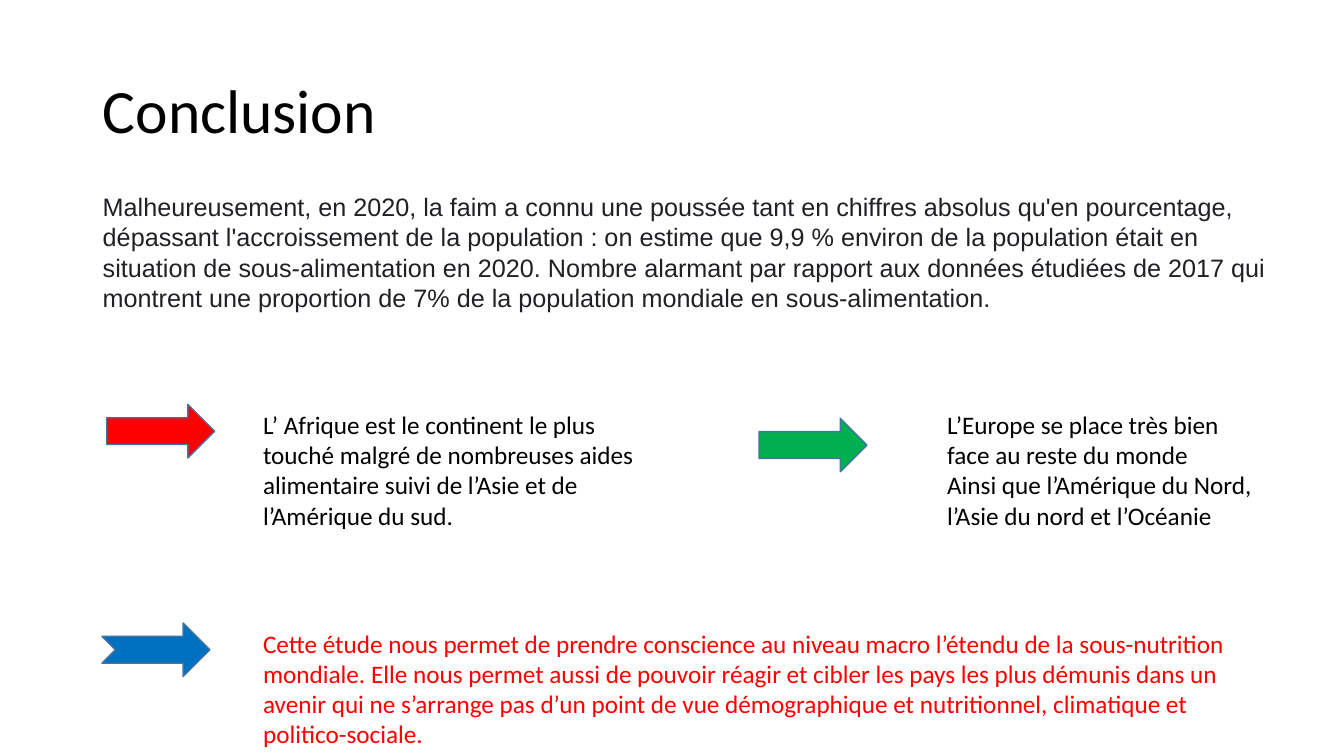
import pptx
import pptx.dml.color
import pptx.enum.shapes
import pptx.enum.text
import pptx.util

Cm = pptx.util.Cm
Pt = pptx.util.Pt
ARROWS = pptx.enum.shapes.MSO_SHAPE


def color(hex_value):
    return pptx.dml.color.RGBColor.from_string(hex_value)


def add_text(left, top, width, height, paragraphs, ink="000000", font="Calibri", size=18):
    frame = slide.shapes.add_textbox(Cm(left), Cm(top), Cm(width), Cm(height)).text_frame
    frame.word_wrap = True
    for index, wording in enumerate(paragraphs):
        paragraph = frame.add_paragraph() if index else frame.paragraphs[0]
        run = paragraph.add_run()
        run.text = wording
        run.font.name = font
        run.font.size = Pt(size)
        run.font.color.rgb = color(ink)
    return frame


presentation = pptx.Presentation()
presentation.slide_width = Cm(33.87)
presentation.slide_height = Cm(19.05)
slide = presentation.slides.add_slide(presentation.slide_layouts[6])

title = add_text(2.34, 1.02, 29.21, 3.68, ["Conclusion"], size=44)
title.vertical_anchor = pptx.enum.text.MSO_ANCHOR.MIDDLE
title.paragraphs[0].line_spacing = 0.9

add_text(2.34, 4.7, 30.58, 4.88, [
    "Malheureusement, en 2020, la faim a connu une poussée tant en chiffres absolus "
    "qu'en pourcentage, dépassant l'accroissement de la population : on estime que 9,9 % "
    "environ de la population était en situation de sous-alimentation en 2020. Nombre "
    "alarmant par rapport aux données étudiées de 2017 qui montrent une proportion de 7% "
    "de la population mondiale en sous-alimentation.",
], ink="202124", font="Arial")

row_top, study_top = 10.19, 15.7

add_text(6.38, row_top, 10.57, 3.33, [
    "L’ Afrique est le continent le plus touché malgré de nombreuses aides alimentaire "
    "suivi de l’Asie et de l’Amérique du sud.",
])
add_text(23.62, row_top, 8.46, 3.33, [
    "L’Europe se place très bien face au reste du monde",
    "Ainsi que l’Amérique du Nord, l’Asie du nord et l’Océanie",
])
add_text(6.38, study_top, 25.17, 3.33, [
    "Cette étude nous permet de prendre conscience au niveau macro l’étendu de la "
    "sous-nutrition mondiale. Elle nous permet aussi de pouvoir réagir et cibler les pays "
    "les plus démunis dans un avenir qui ne s’arrange pas d’un point de vue démographique "
    "et nutritionnel, climatique et politico-sociale.",
], ink="FF0000")

for outline, left, top, fill in [
    (ARROWS.RIGHT_ARROW, 2.69, row_top, "FF0000"),
    (ARROWS.RIGHT_ARROW, 19.13, 10.54, "00B050"),
    (ARROWS.NOTCHED_RIGHT_ARROW, 2.57, study_top, "0070C0"),
]:
    arrow = slide.shapes.add_shape(outline, Cm(left), Cm(top), Cm(2.72), Cm(1.35))
    arrow.shadow.inherit = False
    arrow.fill.solid()
    arrow.fill.fore_color.rgb = color(fill)
    arrow.line.color.rgb = color("43739E")
    arrow.line.width = Pt(1)

presentation.save("out.pptx")
